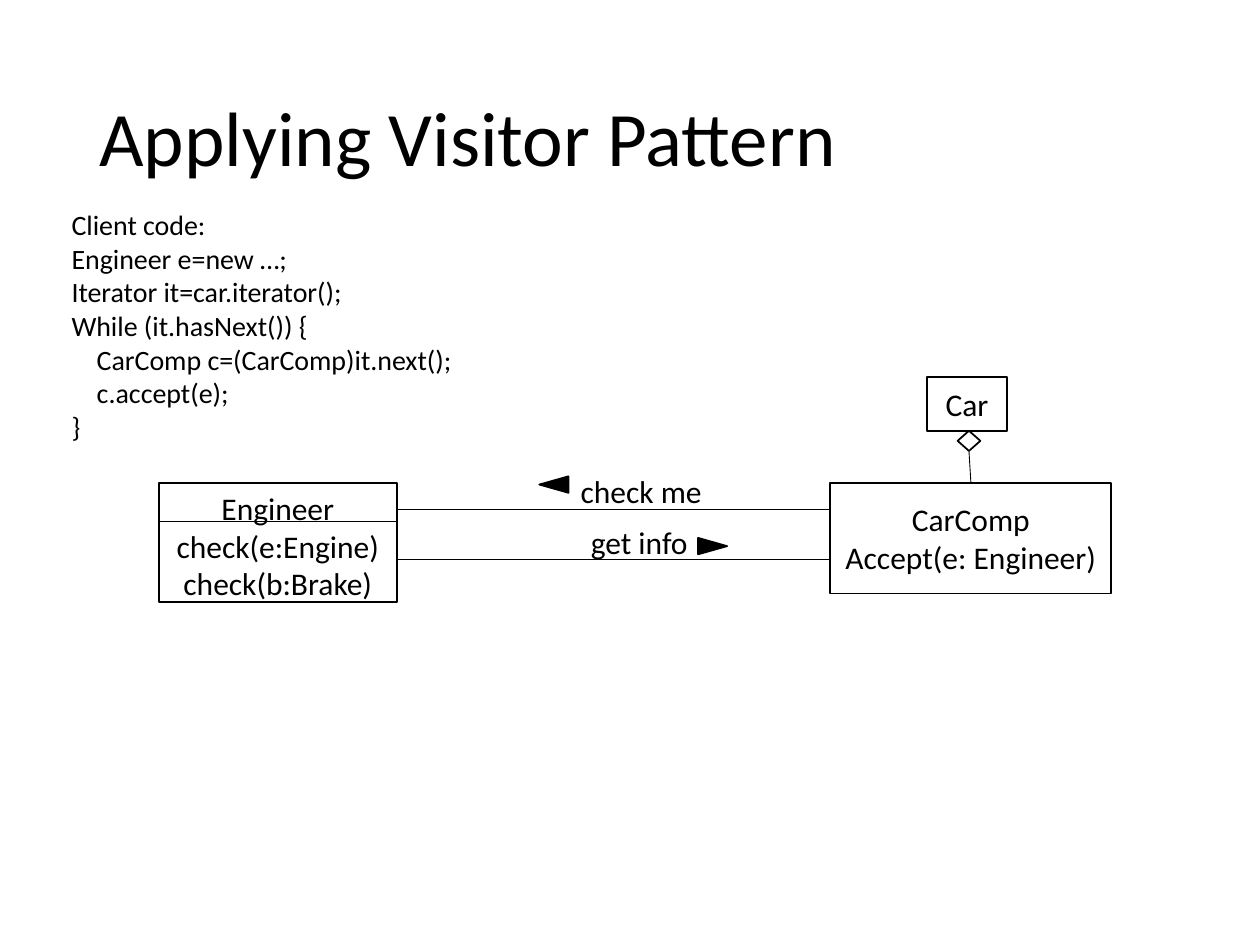
import pptx
import pptx.util
import pptx.dml.color
import pptx.enum.shapes
import pptx.enum.text
import pptx.oxml.ns
from lxml import etree

Pt = pptx.util.Pt
SHAPE = pptx.enum.shapes.MSO_SHAPE
ANCHOR = pptx.enum.text.MSO_ANCHOR
ALIGN = pptx.enum.text.PP_ALIGN

THEME = {
    "ink": pptx.dml.color.RGBColor(0, 0, 0),
    "paper": pptx.dml.color.RGBColor(255, 255, 255),
    "font": "Calibri",
    "title": 44, "code": 16, "diagram": 18,
    "outline": 1, "hairline": 0.5,
}

TITLE = ["Applying Visitor Pattern"]
CLIENT_CODE = [
    "Client code:",
    "Engineer e=new …;",
    "Iterator it=car.iterator();",
    "While (it.hasNext()) {",
    "    CarComp c=(CarComp)it.next();",
    "    c.accept(e);",
    "}",
]
# Class name: (lines, (left, top, width, height), anchor)
CLASSES = {
    "Engineer": (["Engineer", "check(e:Engine)", "check(b:Brake)"],
                 (90.7, 275.8, 136.1, 68.4), ANCHOR.TOP),
    "Car": (["Car"], (529.9, 215.3, 45.4, 31), ANCHOR.MIDDLE),
    "CarComp": (["CarComp", "Accept(e: Engineer)"],
                (474.5, 275.8, 160.6, 63.4), ANCHOR.MIDDLE),
}
# Label, its box, y of the line, arrowhead left and top, arrowhead rotation
MESSAGES = [
    ("check me", (324.7, 266.4, 87.1, 28.8), 290.9, (311.8, 268.6), 270),
    ("get info", (330.5, 295.2, 75.6, 28.8), 319.7, (402.5, 303.8), 90),
]
ARROWHEAD_SIZE = (9.4, 16.6)
DIVIDER_Y = 298.1
AGGREGATION = (547.2, 246.2, 13, 11.5)


def write(frame, lines, size, anchor=ANCHOR.TOP, align=ALIGN.LEFT, spacing=None):
    frame.word_wrap = True
    frame.vertical_anchor = anchor
    for index, line in enumerate(lines):
        paragraph = frame.paragraphs[0] if index == 0 else frame.add_paragraph()
        paragraph.text = line
        paragraph.alignment = align
        paragraph.line_spacing = spacing
        paragraph.font.name = THEME["font"]
        paragraph.font.size = Pt(size)
        paragraph.font.color.rgb = THEME["ink"]


def add_text(slide, box, lines, size, **layout):
    write(slide.shapes.add_textbox(*map(Pt, box)).text_frame, lines, size, **layout)


def add_outlined(slide, kind, box, fill):
    shape = slide.shapes.add_shape(kind, *map(Pt, box))
    shape.shadow.inherit = False
    shape.fill.solid()
    shape.fill.fore_color.rgb = THEME[fill]
    shape.line.color.rgb = THEME["ink"]
    shape.line.width = Pt(THEME["outline"])
    return shape


def add_line(slide, x1, y1, x2, y2):
    line = slide.shapes.add_connector(
        pptx.enum.shapes.MSO_CONNECTOR.STRAIGHT, *map(Pt, (x1, y1, x2, y2)))
    line.line.color.rgb = THEME["ink"]
    line.line.width = Pt(THEME["hairline"])
    etree.SubElement(line._element.spPr, pptx.oxml.ns.qn("a:effectLst"))
    return line


def main():
    deck = pptx.Presentation()
    deck.slide_width, deck.slide_height = Pt(720), Pt(540)
    slide = deck.slides.add_slide(deck.slide_layouts[6])

    add_text(slide, (49.7, 28.8, 620.6, 104.4), TITLE, THEME["title"],
             anchor=ANCHOR.MIDDLE, spacing=0.9)
    add_text(slide, (33.8, 115.2, 270, 143.3), CLIENT_CODE, THEME["code"])

    classes = {}
    for name, (lines, box, anchor) in CLASSES.items():
        classes[name] = add_outlined(slide, SHAPE.RECTANGLE, box, "paper")
        write(classes[name].text_frame, lines, THEME["diagram"], anchor, ALIGN.CENTER)

    engineer_left, _, engineer_width, _ = CLASSES["Engineer"][1]
    engineer_right = engineer_left + engineer_width
    comp_left = CLASSES["CarComp"][1][0]
    add_line(slide, engineer_left, DIVIDER_Y, engineer_right, DIVIDER_Y)

    for label, box, y, corner, rotation in MESSAGES:
        add_line(slide, engineer_right, y, comp_left, y)
        add_text(slide, box, [label], THEME["diagram"])
        arrowhead = add_outlined(slide, SHAPE.ISOSCELES_TRIANGLE,
                                 corner + ARROWHEAD_SIZE, "ink")
        arrowhead.rotation = rotation

    diamond = add_outlined(slide, SHAPE.DIAMOND, AGGREGATION, "paper")
    part_of = add_line(slide, 0, 0, 0, 0)
    part_of.begin_connect(diamond, 2)
    part_of.end_connect(classes["CarComp"], 0)

    deck.save("out.pptx")


if __name__ == "__main__":
    main()
